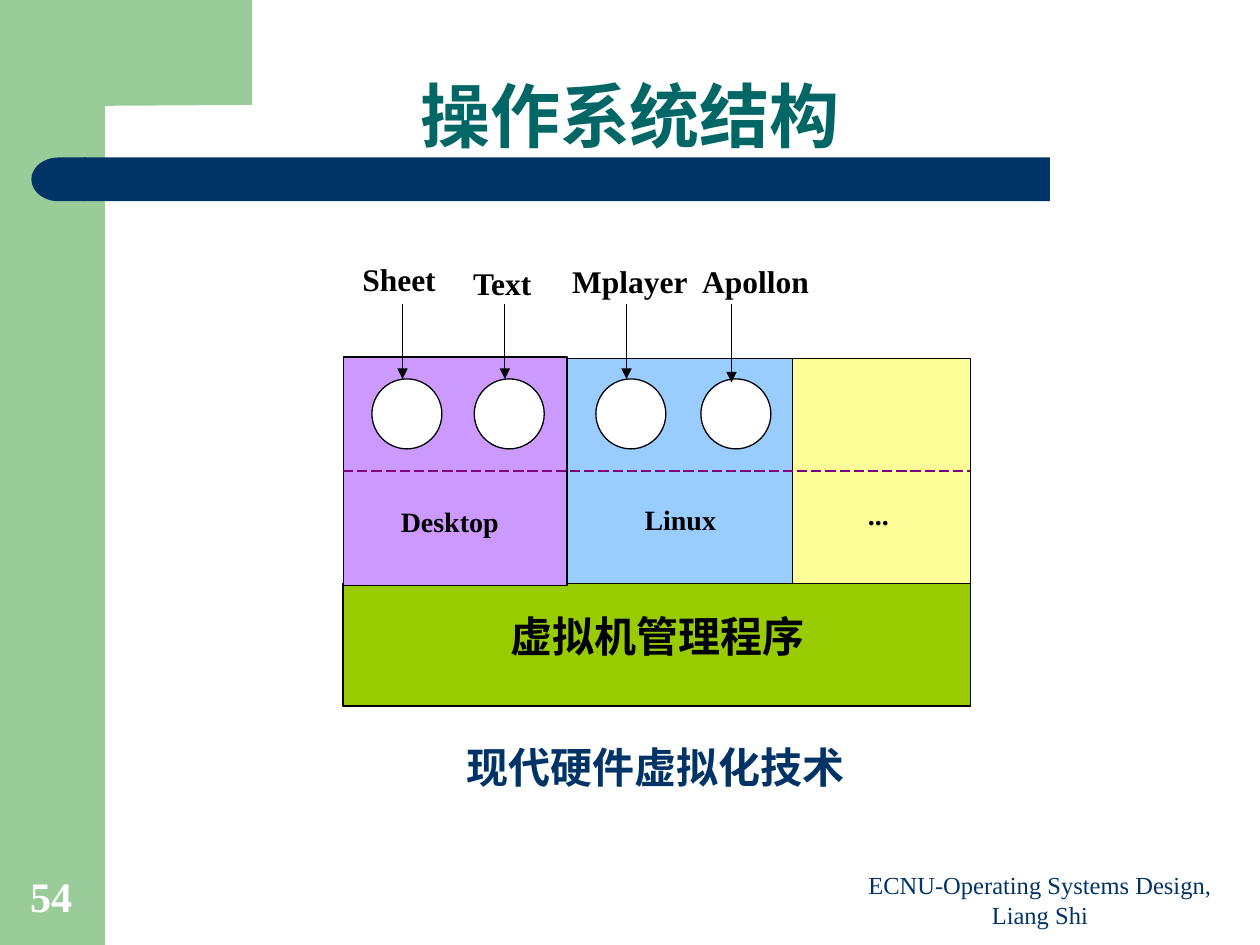
from lxml.etree import SubElement
from pptx import Presentation
from pptx.dml.color import RGBColor
from pptx.enum.dml import MSO_LINE_DASH_STYLE as Dash
from pptx.enum.shapes import MSO_CONNECTOR as Connector, MSO_SHAPE as Shape
from pptx.enum.text import MSO_ANCHOR as Anchor, PP_ALIGN as Align
from pptx.oxml.ns import qn
from pptx.util import Pt

SERIF, CJK = "Times New Roman", "Noto Sans CJK SC"
GREEN, NAVY, BLACK, WHITE = "99CC99", "003366", "000000", "FFFFFF"


def paint(target, color):
    """Fill a shape, line or font format with a solid hex colour."""
    target.solid()
    target.fore_color.rgb = RGBColor.from_string(color)


def points(box):
    """Turn a box of numbers into point lengths."""
    return [Pt(length) for length in box]


def write(frame, wording, size, color, face=SERIF, bold=True, align=Align.CENTER,
          anchor=Anchor.TOP, inset=(7.2, 3.6), spacing=None):
    """Write one formatted paragraph into a text frame."""
    frame.word_wrap = True
    frame.vertical_anchor = anchor
    frame.margin_left = frame.margin_right = Pt(inset[0])
    frame.margin_top = frame.margin_bottom = Pt(inset[1])
    frame.text = wording
    paragraph = frame.paragraphs[0]
    paragraph.alignment = align
    paragraph.line_spacing = spacing
    font = paragraph.font
    font.size, font.bold, font.name = Pt(size), bold, face
    paint(font.fill, color)
    if face != SERIF:
        defaults = paragraph._p.pPr.find(qn("a:defRPr"))
        SubElement(defaults, qn("a:ea")).set("typeface", CJK)


def add_label(slide, box, wording, size, color=BLACK, **style):
    """Place a text box with one paragraph."""
    write(slide.shapes.add_textbox(*points(box)).text_frame, wording, size, color, **style)


def finish(shape, fill, outline=None):
    """Give a shape its fill and outline, without a shadow."""
    shape.shadow.inherit = False
    paint(shape.fill, fill)
    if outline:
        paint(shape.line.fill, outline)
        shape.line.width = Pt(0.75)
    else:
        shape.line.fill.background()


def add_block(slide, kind, box, fill, outline=None):
    """Place a filled preset shape."""
    block = slide.shapes.add_shape(kind, *points(box))
    finish(block, fill, outline)
    return block


def add_line(slide, start, end, color, dash=None, arrow=False):
    """Draw a thin straight line, dashed or with an arrowhead on request."""
    rule = slide.shapes.add_connector(Connector.STRAIGHT, *points(start + end))
    paint(rule.line.fill, color)
    rule.line.width = Pt(0.75)
    if dash:
        rule.line.dash_style = dash
    if arrow:
        SubElement(rule.line._get_or_add_ln(), qn("a:tailEnd")).set("type", "triangle")
    SubElement(rule._element.spPr, qn("a:effectLst"))


def add_frame(slide, left, top, height):
    """Draw the green side band with its corner and the navy bar."""
    add_block(slide, Shape.RECTANGLE, (left, top, 60, height), GREEN)
    outline = [(144, 0), (144, 60), (60, 60.5), (55.5, 61.2), (51, 66.2), (49, 75),
               (48.2, 83.5), (48.2, 92), (36, 92), (36, 0)]
    (start_x, start_y), *rest = [(Pt(left + x), Pt(top + y)) for x, y in outline]
    builder = slide.shapes.build_freeform(start_x, start_y)
    builder.add_line_segments(rest)
    finish(builder.convert_to_shape(), GREEN)
    add_block(slide, Shape.RECTANGLE, (left + 48, top + 90, 552, 25), NAVY)
    cap = add_block(slide, Shape.FLOWCHART_DELAY, (left + 18, top + 90, 31, 25), NAVY)
    cap._element.spPr.xfrm.set("flipH", "1")


def add_title(slide, box, wording):
    """Move and format the title placeholder."""
    title = slide.shapes.title
    title.left, title.top, title.width, title.height = points(box)
    write(title.text_frame, wording, 40, "006666", face="Arial",
          anchor=Anchor.BOTTOM, inset=(0, 0), spacing=0.9)


def add_program(slide, left, top, name, name_box, tip):
    """Draw a program circle with its name and arrow above it."""
    diameter = 40
    add_block(slide, Shape.OVAL, (left, top, diameter, diameter), WHITE, BLACK)
    center = left + diameter / 2 - 2.5
    add_line(slide, (center, top - 43), (center, top + tip), BLACK, arrow=True)
    x, y, width = name_box
    add_label(slide, (left + x, top + y, width, 29), name, 18)


def add_machines(slide, left, top, width, height):
    """Draw the virtual machines standing on their manager."""
    floor = 128.5
    add_block(slide, Shape.RECTANGLE, (left, top + floor, width, height - floor),
              "99CC00", BLACK)
    systems = [
        ("Desktop", 0.5, 127.5, -1, "CC99FF", (-9, 80, 139)),
        ("Linux", 128, 129, 0, "99CCFF", (10, 78.5, 109.5)),
        ("...", 257, 101.5, 0, "FFFF99", (9, 75.5, 80)),
    ]
    for name, x, span, lift, fill, _ in systems:
        add_block(slide, Shape.RECTANGLE,
                  (left + x, top + lift, span, floor - 2 * lift), fill, BLACK)
    add_line(slide, (left, top + 64.2), (left + width, top + 64.2),
             "800080", dash=Dash.LONG_DASH)
    for name, x, _, _, _, (indent, drop, span) in systems:
        add_label(slide, (left + x + indent, top + drop, span, 27), name, 16)
    programs = [
        ("Sheet", 16.5, (-14, -71.2, 59), 0),
        ("Text", 75, (-20, -69, 72), 0),
        ("Mplayer", 144.5, (-25, -70.5, 89), 0),
        ("Apollon", 204.5, (-8, -70.5, 78.5), 2),
    ]
    for name, x, name_box, tip in programs:
        add_program(slide, left + x, top + 11.5, name, name_box, tip)
    add_label(slide, (left + 44.5, top + 140.5, 270, 36), "虚拟机管理程序", 24, face=CJK)


def add_footer(slide, left, top, width):
    """Place the page number and the course line."""
    add_label(slide, (left, top, 59, 38), "54", 24, WHITE, align=Align.LEFT,
              anchor=Anchor.BOTTOM, spacing=0.9, inset=(17.2, 3.6))
    add_label(slide, (left + width - 240, top + 5, 228.5, 37.5),
              "ECNU-Operating Systems Design, Liang Shi", 14, NAVY,
              bold=False, anchor=Anchor.BOTTOM)


def main():
    """Build and save the slide."""
    deck = Presentation()
    deck.slide_width, deck.slide_height = Pt(720), Pt(540)
    slide = deck.slides.add_slide(deck.slide_layouts[5])
    add_frame(slide, 0, 0, 540)
    add_title(slide, (0, 0, 720, 90), "操作系统结构")
    add_machines(slide, 196, 205, 358.5, 198.5)
    add_label(slide, (174, 427, 401, 35), "现代硬件虚拟化技术", 24, NAVY,
              face=CJK, inset=(0, 0), spacing=0.9)
    add_footer(slide, 0, 492, 720)
    deck.save("out.pptx")


if __name__ == "__main__":
    main()
